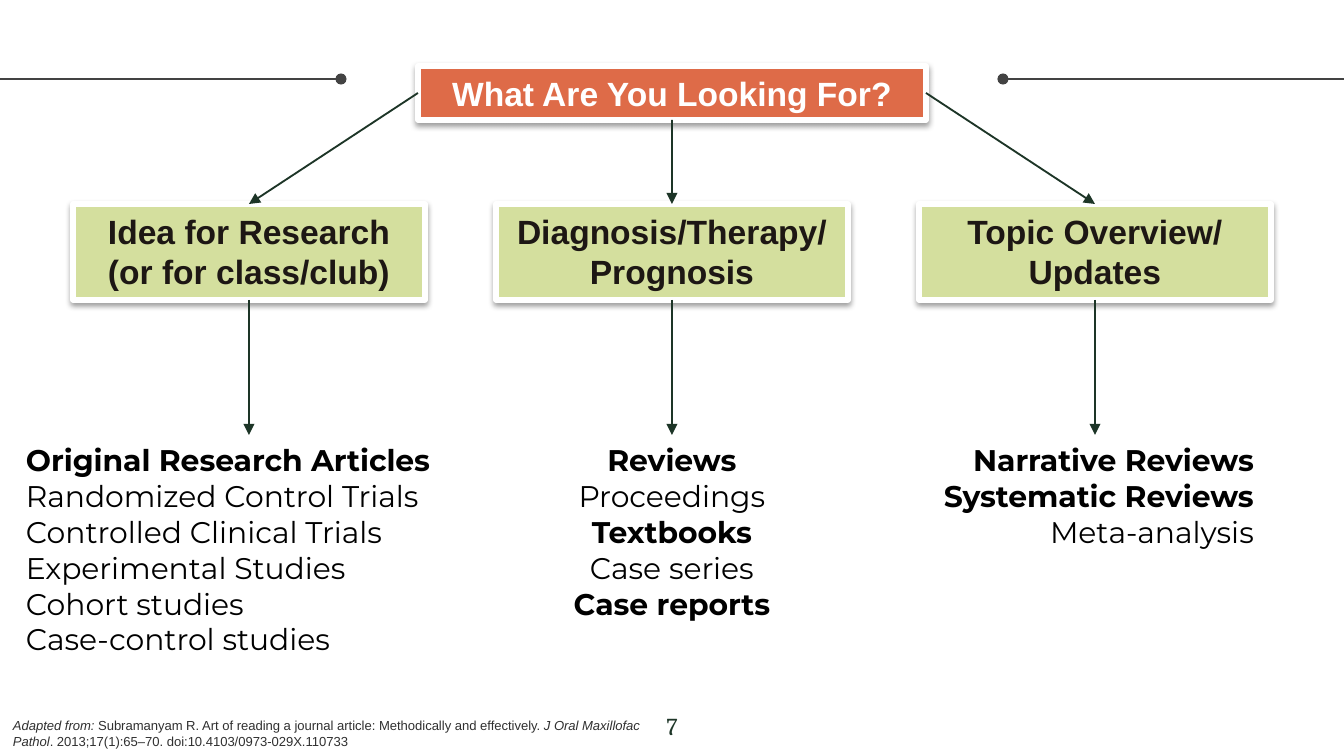
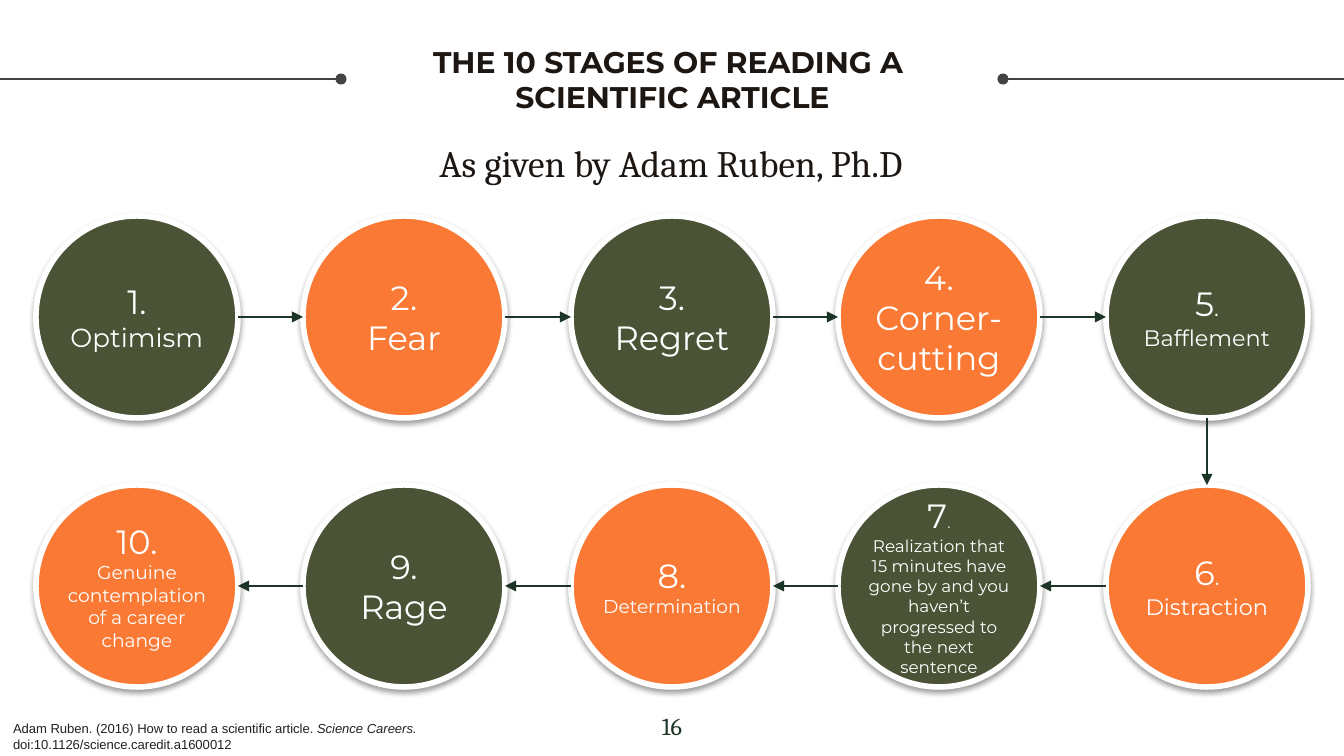
from dataclasses import dataclass, replace

from lxml import etree
from pptx import Presentation
from pptx import util as u
from pptx.dml.color import RGBColor
from pptx.enum import shapes, text
from pptx.oxml.ns import qn

WIDTH, HEIGHT = 1344, 756
LEFT, CENTER, RIGHT = text.PP_ALIGN.LEFT, text.PP_ALIGN.CENTER, text.PP_ALIGN.RIGHT
TOP, BOTTOM, SIDE_LEFT, SIDE_RIGHT = 0, 2, 1, 3


def emu(px):
    return round(px * 9144000 / WIDTH)


@dataclass(frozen=True)
class Style:
    size: int
    font: str
    color: str
    bold: bool = False
    italic: bool = False


@dataclass(frozen=True)
class Theme:
    white: str = "FFFFFF"
    rule: str = "434343"
    arrow: str = "1D3527"
    coral: str = "DE6B48"
    lime: str = "D4DF9E"
    olive: str = "4A5335"
    orange: str = "FA7A35"
    title: Style = Style(16, "Montserrat", "1D1714", bold=True)
    subtitle: Style = Style(20, "Cambria", "1D1714")
    page: Style = Style(13, "Cambria", "1E3628")
    question: Style = Style(18, "Arial", "FFFFFF", bold=True)
    branch: Style = Style(18, "Arial", "1D1714", bold=True)
    entry: Style = Style(16, "Montserrat", "000000")
    stage: Style = Style(18, "Montserrat", "FFFFFF")
    adapted: Style = Style(7, "Arial", "303030")
    credit: Style = Style(7, "Arial", "222222")


class Deck:
    def __init__(self, theme):
        self.theme = theme
        self.prs = Presentation()
        self.prs.slide_width, self.prs.slide_height = emu(WIDTH), emu(HEIGHT)
        self.slide = None

    def new_slide(self, number):
        self.slide = self.prs.slides.add_slide(self.prs.slide_layouts[6])
        for inner, edge in ((341, 0), (1003, WIDTH)):
            self.line((inner, 79), (edge, 79), self.theme.rule, 0.75, head="oval")
        self.label((632, 698, 80, 58), [[(str(number), self.theme.page)]],
                   CENTER, inset=(13, 13))

    def set_font(self, font, style):
        font.name, font.size = style.font, u.Pt(style.size)
        font.bold, font.italic = style.bold, style.italic
        font.color.rgb = RGBColor.from_string(style.color)

    def fill_text(self, shape, paragraphs, align, inset, anchor, grow, wrap=True):
        frame = shape.text_frame
        frame.word_wrap = wrap
        frame.auto_size = (text.MSO_AUTO_SIZE.SHAPE_TO_FIT_TEXT if grow
                           else text.MSO_AUTO_SIZE.NONE)
        frame.vertical_anchor = anchor
        frame.margin_left = frame.margin_right = emu(inset[0])
        frame.margin_top = frame.margin_bottom = emu(inset[1])
        for index, runs in enumerate(paragraphs):
            paragraph = frame.add_paragraph() if index else frame.paragraphs[0]
            paragraph.alignment = align
            shared = len({style for _, style in runs}) == 1
            if shared:
                self.set_font(paragraph.font, runs[0][1])
            for words, style in runs:
                for part, piece in enumerate(words.split("\n")):
                    if part:
                        paragraph.add_line_break()
                    run = paragraph.add_run()
                    run.text = piece
                    if not shared:
                        self.set_font(run.font, style)

    def label(self, box, paragraphs, align=LEFT, inset=(13, 7),
              anchor=text.MSO_ANCHOR.TOP, grow=False, wrap=True):
        shape = self.slide.shapes.add_textbox(*map(emu, box))
        self.fill_text(shape, paragraphs, align, inset, anchor, grow, wrap)
        return shape

    def card(self, kind, box, fill, paragraphs, inset=(13, 7),
             anchor=text.MSO_ANCHOR.TOP, grow=False):
        shape = self.slide.shapes.add_shape(kind, *map(emu, box))
        shape.fill.solid()
        shape.fill.fore_color.rgb = RGBColor.from_string(fill)
        shape.line.color.rgb = RGBColor.from_string(self.theme.white)
        shape.line.width = u.Pt(3)
        shape.shadow.inherit = False
        effects = shape._element.spPr.find(qn("a:effectLst"))
        shadow = etree.SubElement(effects, qn("a:outerShdw"), blurRad="40000",
                                  dist="20000", dir="5400000", rotWithShape="0")
        color = etree.SubElement(shadow, qn("a:srgbClr"), val="000000")
        etree.SubElement(color, qn("a:alpha"), val="38000")
        self.fill_text(shape, paragraphs, CENTER, inset, anchor, grow)
        return shape

    def line(self, start, end, color, width, head=None, tail=None):
        connector = self.slide.shapes.add_connector(
            shapes.MSO_CONNECTOR.STRAIGHT, *map(emu, (*start, *end)))
        connector.line.color.rgb = RGBColor.from_string(color)
        connector.line.width = u.Pt(width)
        properties = connector._element.spPr
        outline = properties.find(qn("a:ln"))
        for tag, kind in (("a:headEnd", head), ("a:tailEnd", tail)):
            if kind:
                etree.SubElement(outline, qn(tag), type=kind)
        etree.SubElement(properties, qn("a:effectLst"))
        return connector

    def arrow(self, start, end, width):
        return self.line(start, end, self.theme.arrow, width, tail="triangle")

    def join(self, source, source_side, target, target_side):
        connector = self.arrow((0, 0), (0, 0), 1)
        connector.begin_connect(source, source_side)
        connector.end_connect(target, target_side)


def build_search_guide(deck):
    theme = deck.theme
    strong = replace(theme.entry, bold=True)
    rectangle = shapes.MSO_SHAPE.RECTANGLE
    deck.new_slide(7)
    question = deck.card(rectangle, (418, 66, 508, 54), theme.coral,
                         [[("What Are You Looking For?", theme.question)]], grow=True)
    branches = (
        ("Idea for Research (or for class/club)", SIDE_LEFT, LEFT, 472, 231,
         [("Original Research Articles", strong),
          ("Randomized Control Trials", theme.entry),
          ("Controlled Clinical Trials", theme.entry),
          ("Experimental Studies", theme.entry),
          ("Cohort studies", theme.entry),
          ("Case-control studies", theme.entry)]),
        ("Diagnosis/Therapy/ Prognosis", BOTTOM, CENTER, 464, 195,
         [("Reviews", strong),
          ("Proceedings", theme.entry),
          ("Textbooks", strong),
          ("Case series", theme.entry),
          ("Case reports", strong)]),
        ("Topic Overview/ Updates", SIDE_RIGHT, RIGHT, 344, 122,
         [("Narrative Reviews", strong),
          ("Systematic Reviews", strong),
          ("Meta-analysis", theme.entry)]),
    )
    for index, (purpose, side, align, width, height, entries) in enumerate(branches):
        middle = 249 + 423 * index
        branch = deck.card(rectangle, (middle - 176, 204, 352, 96), theme.lime,
                           [[(purpose, theme.branch)]], grow=True)
        sources = deck.label((middle - width // 2, 435, width, height),
                             [[entry] for entry in entries], align, grow=True)
        deck.join(question, side, branch, TOP)
        deck.join(branch, BOTTOM, sources, TOP)
    slanted = replace(theme.adapted, italic=True)
    deck.label((0, 711, 672, 45), [[
        ("Adapted from: ", slanted),
        ("Subramanyam R. Art of reading a journal article: "
         "Methodically and effectively. ", theme.adapted),
        ("J Oral Maxillofac Pathol", slanted),
        (". 2013;17(1):65–70. doi:10.4103/0973-029X.110733", theme.adapted),
    ]], grow=True)


def build_stages(deck):
    theme = deck.theme
    middle = text.MSO_ANCHOR.MIDDLE
    deck.new_slide(16)
    deck.label((341, 16, 663, 126),
               [[("THE 10 STAGES OF READING A \nSCIENTIFIC ARTICLE", theme.title)]],
               CENTER, inset=(13, 13), anchor=middle)
    subtitle = deck.label((91, 120, 1160, 67),
                          [[("As given by Adam Ruben, Ph.D", theme.subtitle)]],
                          CENTER, inset=(13, 13))
    subtitle.text_frame.paragraphs[0].line_spacing = 1.15
    subtitle.text_frame.paragraphs[0].space_before = u.Pt(6)

    stages = (
        ("Optimism", 18, 14),
        ("Fear", 18, 18),
        ("Regret", 18, 18),
        ("Corner-cutting", 18, 18),
        ("Bafflement", 12, 12),
        ("Distraction", 12, 12),
        ("Realization that 15 minutes have gone by and you haven’t "
         "progressed to the next sentence", 8, 9),
        ("Determination", 18, 10),
        ("Rage", 18, 18),
        ("Genuine contemplation of a career change", 18, 10),
    )
    diameter, radius = 202, 101
    centers = []
    for index, (name, dot_size, name_size) in enumerate(stages):
        row, step = divmod(index, 5)
        column = 4 - step if row else step
        left, top = 36 + 1070 * column // 4, 216 + 269 * row
        centers.append((left + radius, top + radius))
        dot = replace(theme.stage, size=dot_size)
        number = ([(f"{index + 1}.", theme.stage)] if dot == theme.stage
                  else [(str(index + 1), theme.stage), (".", dot)])
        deck.card(shapes.MSO_SHAPE.OVAL, (left, top, diameter, diameter),
                  theme.orange if index % 2 else theme.olive,
                  [number, [(name, replace(theme.stage, size=name_size))]],
                  inset=(0, 7), anchor=middle)
    for (x1, y1), (x2, y2) in zip(centers, centers[1:]):
        dx = radius * ((x2 > x1) - (x2 < x1))
        dy = radius * (y2 > y1)
        deck.arrow((x1 + dx, y1 + dy), (x2 - dx, y2 - dy), 1.5)
    deck.label((0, 714, 437, 42), [
        [("Adam Ruben. (2016) How to read a scientific article. ", theme.credit),
         ("Science Careers.", replace(theme.credit, italic=True))],
        [("doi:10.1126/science.caredit.a1600012", theme.credit)],
    ], grow=True, wrap=False)


def main():
    deck = Deck(Theme())
    build_search_guide(deck)
    build_stages(deck)
    deck.prs.save("out.pptx")


if __name__ == "__main__":
    main()
